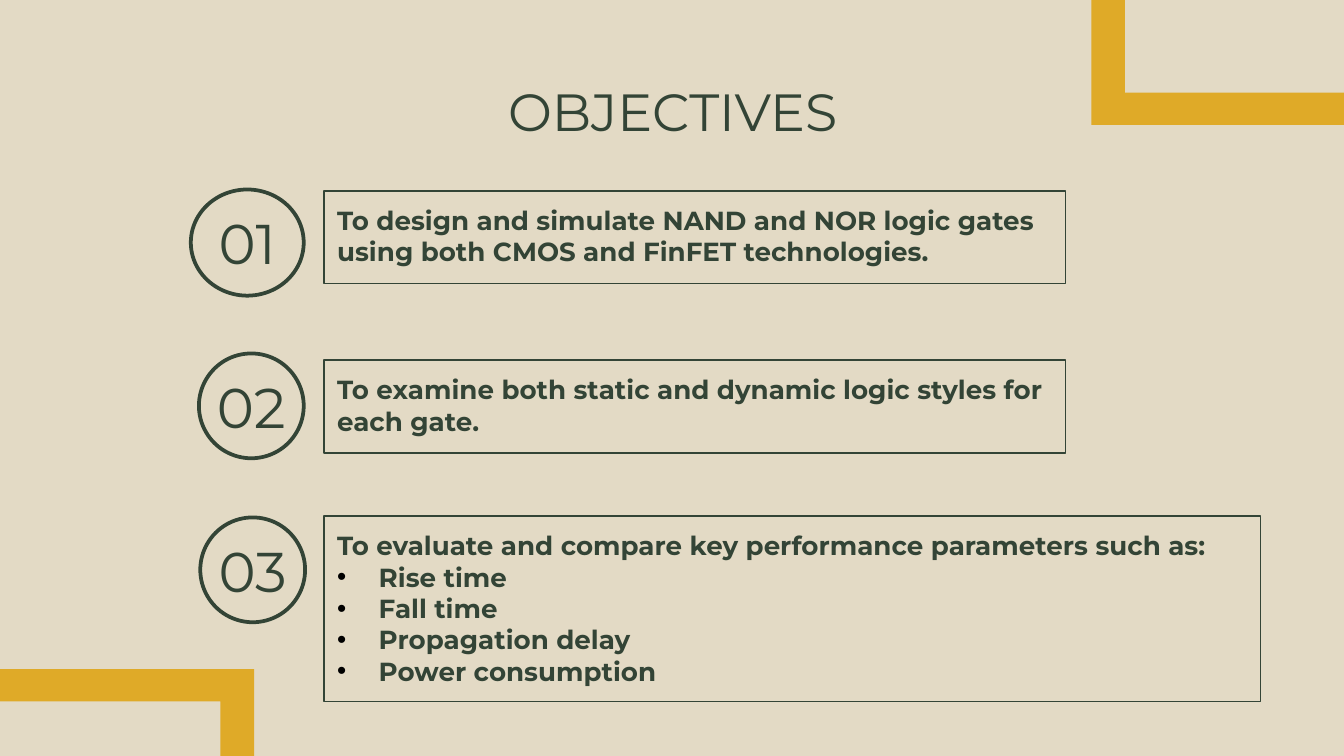
from pptx import Presentation
from pptx.dml.color import RGBColor
from pptx.enum.shapes import MSO_SHAPE as Shape
from pptx.enum.text import MSO_ANCHOR as Anchor, PP_ALIGN as Align
from pptx.oxml.ns import qn
from pptx.util import Inches, Pt
from lxml.etree import SubElement

SAND, GREEN, GOLD, BLACK = "E3DAC5", "334436", "DFAA28", "000000"
FONT = "Montserrat"
WIDTH = 10
HEIGHT = WIDTH * 9 / 16
BAND_WIDTH, BAND_HEIGHT = 0.25, 0.24
BOX_LEFT = 2.41

# number, circle (left, top, width, height), box (top, width, height), text, bullets
OBJECTIVES = [
    ("01", (1.42, 1.41, 0.84, 0.79), (1.42, 5.52, 0.69),
     "To design and simulate NAND and NOR logic gates using both CMOS and FinFET technologies.", []),
    ("02", (1.48, 2.63, 0.78, 0.78), (2.68, 5.52, 0.69),
     "To examine both static and dynamic logic styles for each gate.", []),
    ("03", (1.49, 3.85, 0.78, 0.78), (3.84, 6.97, 1.38),
     "To evaluate and compare key performance parameters such as:",
     ["Rise time", "Fall time", "Propagation delay", "Power consumption"]),
]
# slide corner x, y and the outer corner of the band around it
CORNERS = [((0, HEIGHT), (1.89, 4.98)), ((WIDTH, 0), (8.12, 0.93))]


def color(value):
    return RGBColor.from_string(value)


def set_frame(frame, anchor, side=0.1):
    frame.word_wrap = True
    frame.vertical_anchor = anchor
    frame.margin_left = frame.margin_right = Inches(side)
    frame.margin_top = frame.margin_bottom = Inches(0.1)


def style(para, size, align=Align.LEFT, bold=False):
    para.alignment = align
    para.font.name = FONT
    para.font.size = Pt(size)
    para.font.bold = bold
    para.font.color.rgb = color(GREEN)


def add_bullet(para):
    props = para._p.get_or_add_pPr()
    props.set("marL", str(Inches(0.31)))
    props.set("indent", str(-Inches(0.31)))
    bullet_color = SubElement(props, qn("a:buClr"))
    SubElement(bullet_color, qn("a:srgbClr"), val=BLACK)
    SubElement(props, qn("a:buFont"), typeface="Arial")
    SubElement(props, qn("a:buChar"), char="•")


def add_outlined(slide, kind, place, line_width):
    shape = slide.shapes.add_shape(kind, *map(Inches, place))
    shape.shadow.inherit = False
    shape.line.color.rgb = color(GREEN)
    shape.line.width = Pt(line_width)
    return shape


def add_corner(slide, corner, outer):
    """Draw an L-shaped band that closes off one corner of the slide."""
    (cx, cy), (ox, oy) = corner, outer
    ix = ox + (BAND_WIDTH if cx > ox else -BAND_WIDTH)
    iy = oy + (BAND_HEIGHT if cy > oy else -BAND_HEIGHT)
    points = [(cx, oy), (ox, oy), (ox, cy), (ix, cy), (ix, iy), (cx, iy)]
    points = [(Inches(x), Inches(y)) for x, y in points]
    builder = slide.shapes.build_freeform(*points[0])
    builder.add_line_segments(points[1:], close=True)
    band = builder.convert_to_shape()
    band.shadow.inherit = False
    band.fill.solid()
    band.fill.fore_color.rgb = color(GOLD)
    band.line.fill.background()


def add_title(slide, text):
    title = slide.shapes.title
    title.left, title.top = Inches(0.79), Inches(0.49)
    title.width, title.height = Inches(8.43), Inches(0.63)
    set_frame(title.text_frame, Anchor.TOP)
    title.text_frame.text = text
    style(title.text_frame.paragraphs[0], 28, Align.CENTER)


def add_objective(slide, number, circle_place, box_place, text, bullets):
    circle = add_outlined(slide, Shape.OVAL, circle_place, 2)
    circle.fill.solid()
    circle.fill.fore_color.rgb = color(SAND)
    set_frame(circle.text_frame, Anchor.MIDDLE, side=0)
    circle.text_frame.text = number
    style(circle.text_frame.paragraphs[0], 30, Align.CENTER)

    box = add_outlined(slide, Shape.RECTANGLE, (BOX_LEFT, *box_place), 0.75)
    box.fill.background()
    set_frame(box.text_frame, Anchor.TOP)
    box.text_frame.text = "\n".join([text, *bullets])
    for index, para in enumerate(box.text_frame.paragraphs):
        if index:
            add_bullet(para)
        style(para, 14, bold=True)


deck = Presentation()
deck.slide_width, deck.slide_height = Inches(WIDTH), Inches(HEIGHT)
slide = deck.slides.add_slide(deck.slide_layouts[5])
slide.background.fill.solid()
slide.background.fill.fore_color.rgb = color(SAND)
for corner, outer in CORNERS:
    add_corner(slide, corner, outer)
add_title(slide, "OBJECTIVES")
for objective in OBJECTIVES:
    add_objective(slide, *objective)
deck.save("out.pptx")
